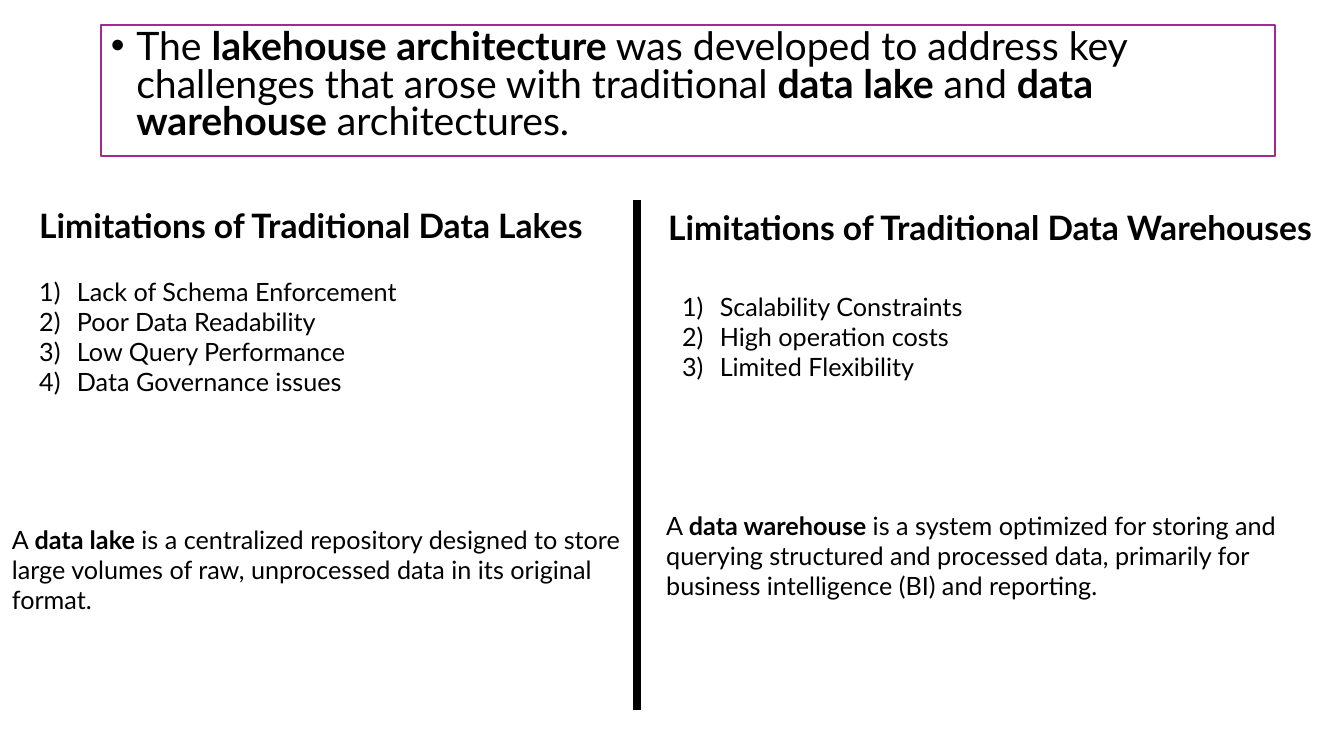
from pptx import Presentation
from pptx.dml.color import RGBColor
from pptx.enum.shapes import MSO_CONNECTOR
from pptx.enum.text import MSO_ANCHOR, MSO_AUTO_SIZE
from pptx.oxml.ns import qn
from pptx.util import Cm, Pt
from lxml.etree import SubElement

BLACK = RGBColor(0x00, 0x00, 0x00)
WHITE = RGBColor(0xFF, 0xFF, 0xFF)
PURPLE = RGBColor(0xA0, 0x2B, 0x93)
FONT = "Lato"


def write(p, text, size, bold=None):
    p.font.name = FONT
    p.font.size = Pt(size)
    p.font.color.rgb = BLACK
    p.font.bold = bold
    for i, part in enumerate(text.split("**")):
        r = p.add_run()
        r.text = part
        r.font.name = FONT
        r.font.size = Pt(size)
        r.font.color.rgb = BLACK
        if i % 2:
            r.font.bold = True
        elif bold:
            r.font.bold = bold


def add_text(left, top, width, height, lines, size, bold=None, numbered=False):
    box = s.shapes.add_textbox(Cm(left), Cm(top), Cm(width), Cm(height))
    tf = box.text_frame
    tf.word_wrap = True
    for i, line in enumerate(lines):
        p = tf.paragraphs[0] if i == 0 else tf.add_paragraph()
        write(p, line, size, bold)
        if numbered:
            pPr = p._p.get_or_add_pPr()
            pPr.set("marL", str(Cm(0.95)))
            pPr.set("indent", str(Cm(-0.95)))
            number = pPr.makeelement(qn("a:buAutoNum"), {"type": "arabicParenR"})
            pPr.insert(0, number)


prs = Presentation()
prs.slide_width = Cm(33.87)
prs.slide_height = Cm(19.05)
s = prs.slides.add_slide(prs.slide_layouts[1])
title = s.shapes.title
title._element.getparent().remove(title._element)

intro = s.placeholders[1]
intro.left, intro.top, intro.width, intro.height = Cm(2.54), Cm(0.64), Cm(29.6), Cm(3.3)
intro.fill.solid()
intro.fill.fore_color.rgb = WHITE
intro.line.color.rgb = PURPLE
intro.line.width = Pt(1.5)
tf = intro.text_frame
tf.auto_size = MSO_AUTO_SIZE.NONE
tf.vertical_anchor = MSO_ANCHOR.TOP
p = tf.paragraphs[0]
write(
    p,
    "The **lakehouse architecture** was developed to address key challenges that arose "
    "with traditional **data lake** and **data warehouse** architectures.",
    28,
)
p.line_spacing = 0.8
p.space_before = Pt(10)
pPr = p._p.get_or_add_pPr()
pPr.set("marL", str(Cm(0.64)))
pPr.set("indent", str(Cm(-0.64)))

add_text(0.74, 5.05, 15.34, 1.27, ["Limitations of Traditional Data Lakes"], 24, bold=True)
add_text(16.59, 5.08, 18.47, 1.27, ["Limitations of Traditional Data Warehouses"], 24, bold=True)

lake_limits = [
    "Lack of Schema Enforcement",
    "Poor Data Readability",
    "Low Query Performance",
    "Data Governance issues",
]
warehouse_limits = ["Scalability Constraints", "High operation costs", "Limited Flexibility"]
add_text(0.74, 6.83, 15.6, 4.11, lake_limits, 18, numbered=True)
add_text(16.94, 7.21, 15.6, 3.33, warehouse_limits, 18, numbered=True)

lake_definition = (
    "A **data lake** is a centralized repository designed to store large volumes of raw, "
    "unprocessed data in its original format."
)
warehouse_definition = (
    "A **data warehouse** is a system optimized for storing and querying structured and "
    "processed data, primarily for business intelligence (BI) and reporting."
)
add_text(0.05, 13.08, 16.94, 2.57, [lake_definition], 18)
add_text(16.54, 12.73, 16.94, 2.57, [warehouse_definition], 18)

divider = s.shapes.add_connector(
    MSO_CONNECTOR.STRAIGHT, Cm(16.05), Cm(5.05), Cm(16.05), Cm(17.88)
)
divider.line.color.rgb = BLACK
divider.line.width = Pt(6)
SubElement(divider._element.spPr, qn("a:effectLst"))

prs.save("out.pptx")
